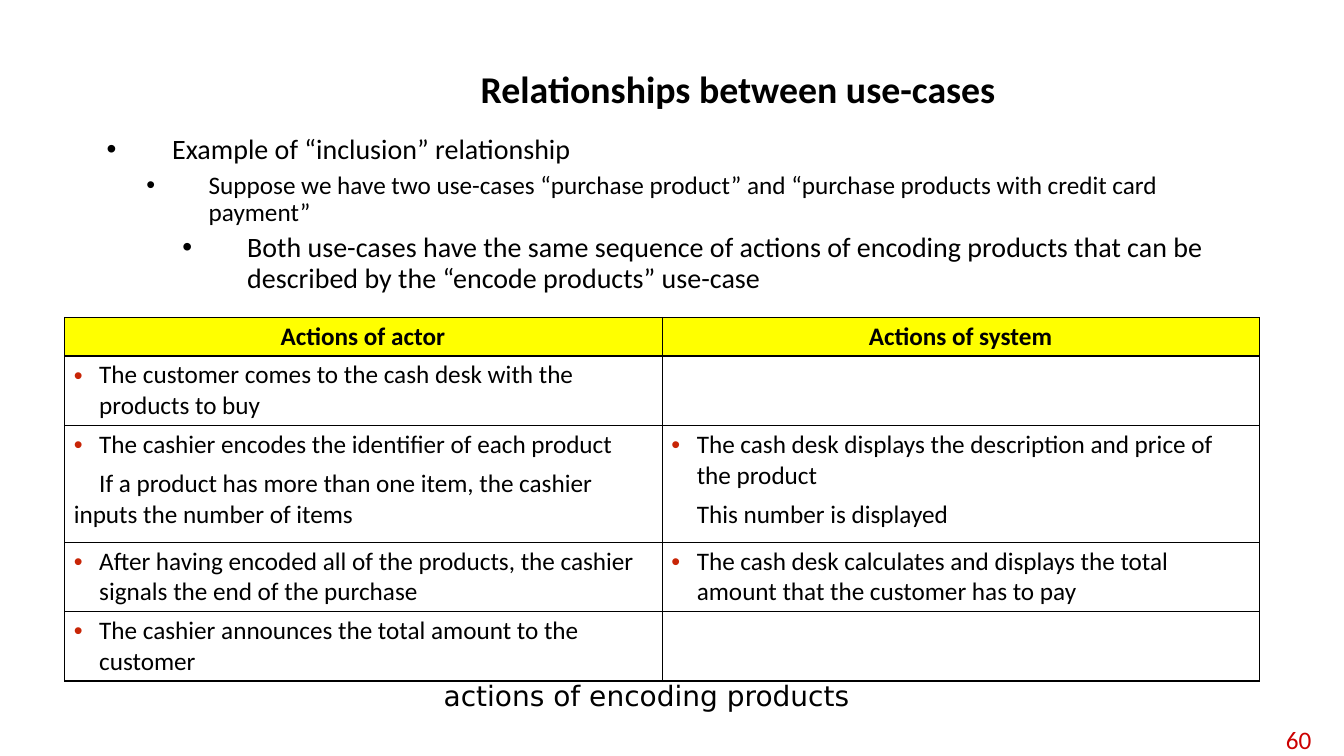
from dataclasses import dataclass

from lxml.etree import SubElement
from pptx import Presentation
from pptx.dml.color import RGBColor
from pptx.enum.text import MSO_ANCHOR, MSO_AUTO_SIZE, PP_ALIGN
from pptx.oxml.ns import qn
from pptx.util import Cm, Pt


@dataclass(frozen=True)
class Theme:
    font: str = "Calibri"
    caption_font: str = "DejaVu Sans"
    ink: str = "000000"
    number: str = "CC0000"
    header_fill: str = "FFFF00"
    cell_bullet: str = "C82506"
    title_size: int = 27
    large_size: int = 20
    text_size: int = 18


THEME = Theme()

# Text, left margin and hanging indent in cm, type size
OUTLINE = [
    ("Example of “inclusion” relationship", 2.77, 1.65, THEME.large_size),
    ("Suppose we have two use-cases “purchase product” and "
     "“purchase products with credit card payment”", 3.69, 1.57, THEME.text_size),
    ("Both use-cases have the same sequence of actions of encoding products "
     "that can be described by the “encode products” use-case",
     4.66, 1.63, THEME.large_size),
]

HEADERS = ["Actions of actor", "Actions of system"]

# Each cell lists its paragraphs: the first has a bullet, the next ones do not
ACTIONS = [
    (["The customer comes to the cash desk with the products to buy"], []),
    (["The cashier encodes the identifier of each product",
      "If a product has more than one item, the cashier inputs the number of items"],
     ["The cash desk displays the description and price of the product",
      "This number is displayed"]),
    (["After having encoded all of the products, the cashier signals the end of the purchase"],
     ["The cash desk calculates and displays the total amount that the customer has to pay"]),
    (["The cashier announces the total amount to the customer"], []),
]
ROW_HEIGHTS = [0.97, 1.75, 2.94, 1.75, 1.75]
COLUMN_WIDTH = 15.06


def style_font(paragraph, size, color=THEME.ink, bold=False, name=THEME.font):
    font = paragraph.font
    font.name, font.size, font.bold = name, Pt(size), bold
    font.color.rgb = RGBColor.from_string(color)


def set_indent(paragraph, margin, first_line, right=0):
    properties = paragraph._p.get_or_add_pPr()
    properties.set("marL", str(Cm(margin)))
    properties.set("marR", str(Cm(right)))
    properties.set("indent", str(Cm(first_line)))


def add_bullet(paragraph, color):
    properties = paragraph._p.get_or_add_pPr()
    bullet_color = SubElement(properties, qn("a:buClr"))
    SubElement(bullet_color, qn("a:srgbClr"), val=color)
    SubElement(properties, qn("a:buFont"), typeface="Arial")
    SubElement(properties, qn("a:buChar"), char="•")


def add_paragraph(frame, text, index, space_before):
    """Fill the frame's first paragraph, or append a spaced one after it."""
    paragraph = frame.add_paragraph() if index else frame.paragraphs[0]
    paragraph.text = text
    if index:
        paragraph.space_before = Pt(space_before)
    return paragraph


def add_text_box(slide, left, top, width, height, anchor=MSO_ANCHOR.MIDDLE):
    frame = slide.shapes.add_textbox(Cm(left), Cm(top), Cm(width), Cm(height)).text_frame
    frame.word_wrap = True
    frame.vertical_anchor = anchor
    return frame


def add_title(slide):
    paragraph = add_text_box(slide, 5.67, 1, 25.86, 2.59).paragraphs[0]
    paragraph.text = "Relationships between use-cases"
    paragraph.alignment = PP_ALIGN.CENTER
    paragraph.line_spacing = 0.9
    style_font(paragraph, THEME.title_size, bold=True)


def add_outline(slide):
    frame = add_text_box(slide, 1.32, 3.28, 29.97, 4.5, MSO_ANCHOR.TOP)
    for index, (text, margin, hanging, size) in enumerate(OUTLINE):
        paragraph = add_paragraph(frame, text, index, 5)
        paragraph.level = index
        paragraph.line_spacing = 0.9
        set_indent(paragraph, margin, -hanging)
        add_bullet(paragraph, THEME.ink)
        style_font(paragraph, size)


def set_borders(cell):
    properties = cell._tc.get_or_add_tcPr()
    for position, side in enumerate(("a:lnL", "a:lnR", "a:lnT", "a:lnB")):
        line = SubElement(properties, qn(side), w=str(Pt(1)))
        fill = SubElement(line, qn("a:solidFill"))
        SubElement(fill, qn("a:srgbClr"), val=THEME.ink)
        properties.insert(position, line)


def style_cell(cell):
    cell.margin_left = cell.margin_right = Cm(0.13)
    cell.margin_top = cell.margin_bottom = Cm(0.1)
    cell.fill.background()
    set_borders(cell)


def fill_header(cell, text):
    cell.fill.solid()
    cell.fill.fore_color.rgb = RGBColor.from_string(THEME.header_fill)
    paragraph = cell.text_frame.paragraphs[0]
    paragraph.text = text
    paragraph.alignment = PP_ALIGN.CENTER
    set_indent(paragraph, 0.1, 0, right=0.13)
    style_font(paragraph, THEME.text_size, bold=True)


def fill_actions(cell, texts):
    for index, text in enumerate(texts):
        paragraph = add_paragraph(cell.text_frame, text, index, 6)
        if index:
            set_indent(paragraph, 0.1, 0.64, right=0.13)
        else:
            set_indent(paragraph, 0.74, -0.64, right=0.13)
            add_bullet(paragraph, THEME.cell_bullet)
        style_font(paragraph, THEME.text_size)


def add_actions_table(slide):
    table = slide.shapes.add_table(
        len(ROW_HEIGHTS), len(HEADERS), Cm(1.63), Cm(8),
        Cm(COLUMN_WIDTH * len(HEADERS)), Cm(sum(ROW_HEIGHTS))).table
    table.horz_banding = False
    for column in table.columns:
        column.width = Cm(COLUMN_WIDTH)
    for row, height in zip(table.rows, ROW_HEIGHTS):
        row.height = Cm(height)
    for cell in table.iter_cells():
        style_cell(cell)
    for column, header in enumerate(HEADERS):
        fill_header(table.cell(0, column), header)
    for row, cells in enumerate(ACTIONS, start=1):
        for column, texts in enumerate(cells):
            fill_actions(table.cell(row, column), texts)


def add_caption(slide):
    frame = add_text_box(slide, 11.05, 16.97, 10.6, 1.09)
    frame.word_wrap = False
    frame.auto_size = MSO_AUTO_SIZE.SHAPE_TO_FIT_TEXT
    frame.margin_left = frame.margin_right = Cm(0.13)
    frame.margin_top = frame.margin_bottom = Cm(0.13)
    paragraph = frame.paragraphs[0]
    paragraph.text = "actions of encoding products"
    style_font(paragraph, THEME.large_size, name=THEME.caption_font)


def add_slide_number(slide):
    paragraph = add_text_box(slide, 31.55, 18.19, 1.75, 0.91).paragraphs[0]
    paragraph.text = "60"
    paragraph.alignment = PP_ALIGN.RIGHT
    style_font(paragraph, THEME.text_size, THEME.number)


def main():
    presentation = Presentation()
    presentation.slide_width, presentation.slide_height = Cm(33.87), Cm(19.05)
    slide = presentation.slides.add_slide(presentation.slide_layouts[6])
    add_slide_number(slide)
    add_title(slide)
    add_outline(slide)
    add_actions_table(slide)
    add_caption(slide)
    presentation.save("out.pptx")


if __name__ == "__main__":
    main()
